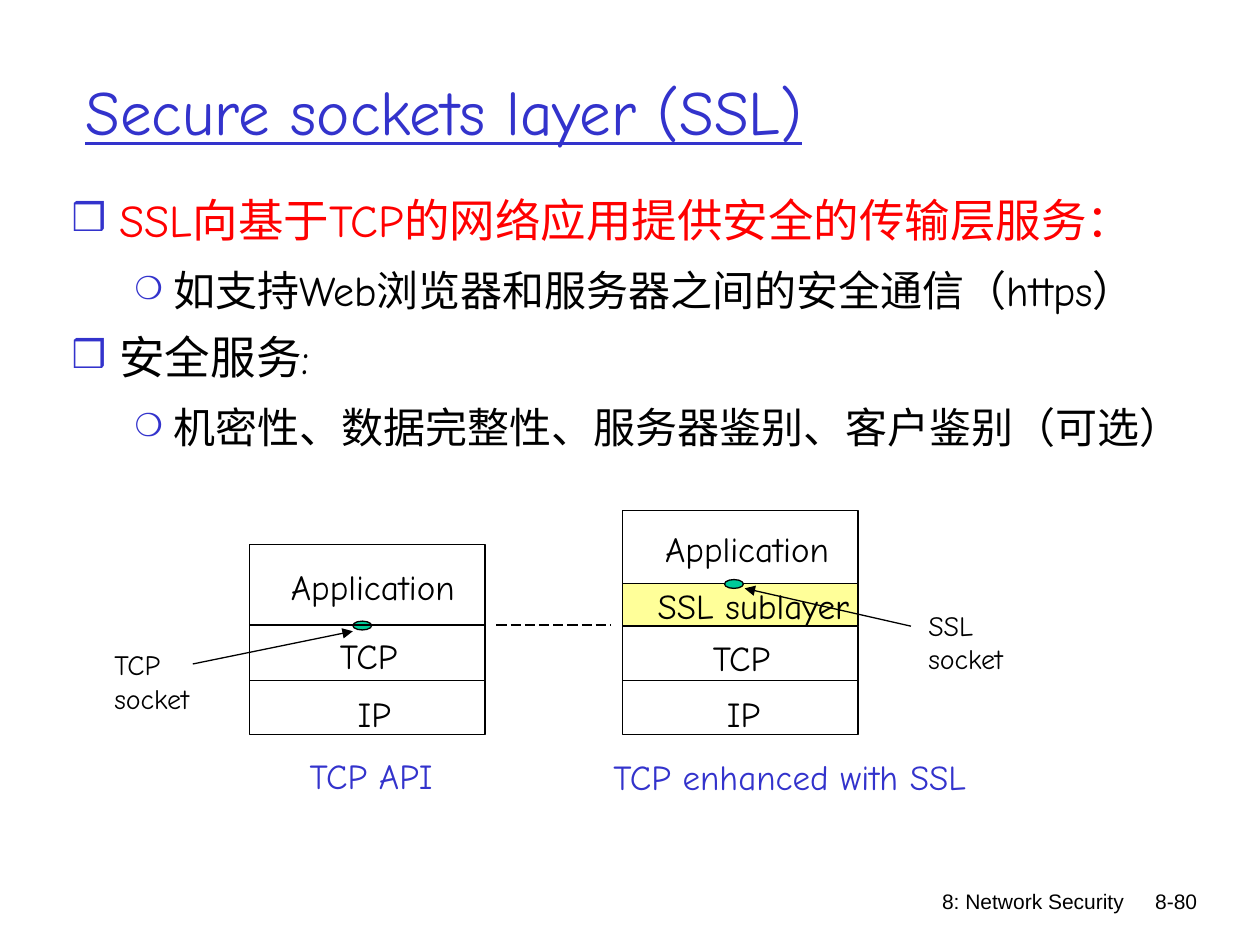
from collections import namedtuple

from lxml import etree
from pptx import Presentation
from pptx.dml.color import RGBColor
from pptx.enum.dml import MSO_LINE
from pptx.enum.shapes import MSO_CONNECTOR, MSO_SHAPE
from pptx.enum.text import MSO_ANCHOR, MSO_AUTO_SIZE, PP_ALIGN
from pptx.oxml.ns import qn
from pptx.util import Inches, Pt

RECTANGLE, OVAL = MSO_SHAPE.RECTANGLE, MSO_SHAPE.OVAL
STRAIGHT = MSO_CONNECTOR.STRAIGHT
LONG_DASH = MSO_LINE.LONG_DASH
LEFT, RIGHT = PP_ALIGN.LEFT, PP_ALIGN.RIGHT
TOP, MIDDLE = MSO_ANCHOR.TOP, MSO_ANCHOR.MIDDLE
FIT_TEXT = MSO_AUTO_SIZE.SHAPE_TO_FIT_TEXT

BLACK = RGBColor(0x00, 0x00, 0x00)
BLUE = RGBColor(0x33, 0x33, 0xCC)
RED = RGBColor(0xFF, 0x00, 0x00)
YELLOW = RGBColor(0xFF, 0xFF, 0x99)
GREEN = RGBColor(0x00, 0xCC, 0x99)
HAND_FONT, FOOTER_FONT = "Comic Neue", "Arial"

# Lengths in a Box are inches
Box = namedtuple("Box", "left top width height")
# Label offsets are measured from the layer's top left corner
Layer = namedtuple("Layer", "label height label_left label_top label_width fill")
# Bullet sizes are percentages of the text
Level = namedtuple("Level", "margin indent bullet bullet_size size")

LEVELS = [
    Level(0.38, -0.38, "❒", 85, 26),
    Level(0.81, -0.31, "❍", 75, 24),
]
BODY = [
    (0, "SSL向基于TCP的网络应用提供安全的传输层服务：", RED),
    (1, "如支持Web浏览器和服务器之间的安全通信（https）", BLACK),
    (0, "安全服务:", BLACK),
    (1, "机密性、数据完整性、服务器鉴别、客户鉴别（可选）", BLACK),
]
TCP_LAYERS = [
    Layer("Application", 0.64, 0.23, 0.12, 1.5, None),
    Layer("TCP", 0.44, 0.62, 0.03, 0.67, None),
    Layer("IP", 0.43, 0.76, 0.05, 0.5, None),
]
SSL_LAYERS = [
    Layer("Application", 0.58, 0.24, 0.09, 1.5, None),
    Layer("SSL sublayer", 0.34, 0.18, -0.04, 1.72, YELLOW),
    Layer("TCP", 0.43, 0.62, 0.03, 0.67, None),
    Layer("IP", 0.43, 0.73, 0.05, 0.5, None),
]


def to_inches(box):
    return [Inches(length) for length in box]


def style_span(span, size, color, font=HAND_FONT):
    span.font.size = Pt(size)
    span.font.name = font
    span.font.color.rgb = color


def add_text(page, box, text, size, color=BLACK, font=HAND_FONT,
             align=LEFT, anchor=TOP, wrap=False):
    frame = page.shapes.add_textbox(*to_inches(box)).text_frame
    frame.word_wrap = wrap
    if not wrap:
        frame.auto_size = FIT_TEXT
    frame.vertical_anchor = anchor
    frame.text = text
    for para in frame.paragraphs:
        para.alignment = align
        for span in para.runs:
            style_span(span, size, color, font)
    return frame


def add_outlined(page, kind, box, fill):
    shape = page.shapes.add_shape(kind, *to_inches(box))
    shape.shadow.inherit = False
    if fill is None:
        shape.fill.background()
    else:
        shape.fill.solid()
        shape.fill.fore_color.rgb = fill
    shape.line.color.rgb = BLACK
    shape.line.width = Pt(0.75)


def add_line(page, start, end, arrow=False, dash=None):
    line = page.shapes.add_connector(STRAIGHT, *to_inches(start + end))
    line.line.color.rgb = BLACK
    line.line.width = Pt(0.75)
    if dash is not None:
        line.line.dash_style = dash
    properties = line._element.spPr
    if arrow:
        etree.SubElement(properties.find(qn("a:ln")), qn("a:tailEnd"), type="triangle")
    etree.SubElement(properties, qn("a:effectLst"))


def add_bullet(para, level):
    properties = para._p.get_or_add_pPr()
    properties.set("marL", str(Inches(level.margin)))
    properties.set("indent", str(Inches(level.indent)))
    color = etree.SubElement(properties, qn("a:buClr"))
    etree.SubElement(color, qn("a:srgbClr"), val=str(BLUE))
    etree.SubElement(properties, qn("a:buSzPct"), val=str(level.bullet_size * 1000))
    etree.SubElement(properties, qn("a:buFont"), typeface=HAND_FONT)
    etree.SubElement(properties, qn("a:buChar"), char=level.bullet)


def draw_title(page, box):
    frame = add_text(page, box, "Secure sockets layer (SSL)", 36, BLUE,
                     anchor=MIDDLE, wrap=True)
    frame.paragraphs[0].runs[0].font.underline = True


def draw_body(page, box):
    frame = page.shapes.add_textbox(*to_inches(box)).text_frame
    frame.word_wrap = True
    frame.text = "\n".join(text for _, text, _ in BODY)
    for para, (depth, _, color) in zip(frame.paragraphs, BODY):
        level = LEVELS[depth]
        para.level = depth
        para.line_spacing = Pt(33)
        para.space_before = Pt(6)
        add_bullet(para, level)
        style_span(para.runs[0], level.size, color)


def draw_stack(page, box, layers):
    top = box.top
    for layer in layers:
        add_outlined(page, RECTANGLE, Box(box.left, top, box.width, layer.height),
                     layer.fill)
        label_box = Box(box.left + layer.label_left, top + layer.label_top,
                        layer.label_width, 0.44)
        add_text(page, label_box, layer.label, 20)
        top += layer.height


def draw_socket(page, box, label, label_box, start, end):
    add_outlined(page, OVAL, box, GREEN)
    add_line(page, start, end, arrow=True)
    add_text(page, label_box, label, 16)


def draw_footer(page, box):
    number_left = box.left + 2.95
    add_text(page, Box(box.left, box.top, 3.17, 0.5), "8: Network Security", 12,
             font=FOOTER_FONT, align=RIGHT, wrap=True)
    add_text(page, Box(number_left, box.top, 0.8, 0.32), "8-80", 12,
             font=FOOTER_FONT, align=RIGHT, wrap=True)


def main():
    deck = Presentation()
    deck.slide_width, deck.slide_height = Inches(10), Inches(7.5)
    page = deck.slides.add_slide(deck.slide_layouts[6])

    draw_footer(page, Box(5.85, 7, 3.75, 0.5))
    draw_title(page, Box(0.58, 0.25, 8.5, 1.25))
    draw_body(page, Box(0.47, 1.45, 9.22, 2.21))

    # Plain TCP stack, drawn over its socket
    draw_socket(page, Box(2.8, 4.93, 0.15, 0.07), "TCP\nsocket",
                Box(0.81, 5.09, 0.8, 0.64), (1.53, 5.27), (2.8, 5.01))
    draw_stack(page, Box(1.98, 4.32, 1.87, 1.51), TCP_LAYERS)
    add_text(page, Box(2.36, 5.94, 1.19, 0.44), "TCP API", 20, BLUE)

    # Stack with the SSL sublayer, drawn under its socket
    draw_stack(page, Box(4.94, 4.05, 1.87, 1.78), SSL_LAYERS)
    draw_socket(page, Box(5.75, 4.6, 0.15, 0.07), "SSL\nsocket",
                Box(7.27, 4.78, 0.8, 0.64), (7.23, 4.97), (5.91, 4.67))
    add_text(page, Box(4.77, 5.95, 3.01, 0.44), "TCP enhanced with SSL", 20, BLUE)

    # Shared transport boundary
    add_line(page, (3.94, 4.96), (4.85, 4.96), dash=LONG_DASH)

    deck.save("out.pptx")


if __name__ == "__main__":
    main()
